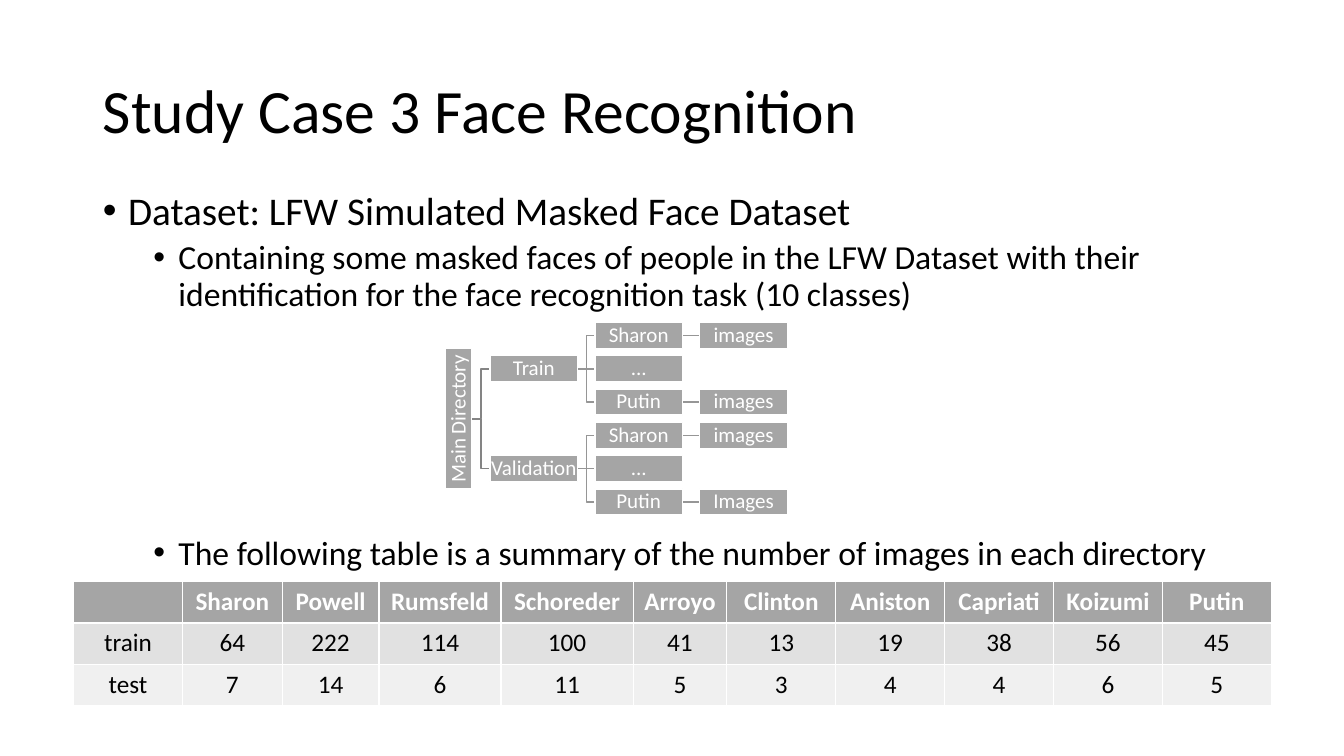
from lxml.etree import SubElement
from pptx import Presentation
from pptx.dml.color import RGBColor
from pptx.enum.shapes import MSO_CONNECTOR, MSO_SHAPE
from pptx.enum.text import MSO_ANCHOR, MSO_AUTO_SIZE, PP_ALIGN
from pptx.oxml.ns import qn
from pptx.util import Inches, Pt

TITLE = "Study Case 3 Face Recognition"
# text, level, size, space before, left indent
BULLETS = [
    ("Dataset: LFW Simulated Masked Face Dataset", 0, 28, 10, 0.25),
    ("Containing some masked faces of people in the LFW Dataset with their "
     "identification for the face recognition task (10 classes)", 1, 24, 5, 0.75),
    ("The following table is a summary of the number of images in each directory",
     1, 24, 159, 0.75),
]
# label, children
TREE = ("Main Directory", [
    ("Train", [("Sharon", [("images", [])]), ("...", []), ("Putin", [("images", [])])]),
    ("Validation", [("Sharon", [("images", [])]), ("...", []), ("Putin", [("Images", [])])]),
])
TABLE = [
    ["", "Sharon", "Powell", "Rumsfeld", "Schoreder", "Arroyo", "Clinton",
     "Aniston", "Capriati", "Koizumi", "Putin"],
    ["train", 64, 222, 114, 100, 41, 13, 19, 38, 56, 45],
    ["test", 7, 14, 6, 11, 5, 3, 4, 4, 6, 5],
]
COL_W = [1.08, 0.99, 0.96, 1.21, 1.31, 0.93] + [1.08] * 5
ROW_H = 0.41
ROW_STYLES = [("A5A5A5", "FFFFFF", True), ("E1E1E1", "000000", False),
              ("F0F0F0", "000000", False)]
FONT = "Calibri"
BOX_W, BOX_H, ROOT_H = 0.87, 0.26, 1.39
COL_STEP, ROW_STEP = 1.04, 0.33
TREE_X, ROOT_X, TREE_Y = 4.86, 4.42, 3.2


def rgb(value):
    return RGBColor.from_string(value)


def write(p, text, size, color, bold=False, **paragraph_format):
    for name, value in paragraph_format.items():
        setattr(p, name, value)
    r = p.add_run()
    r.text = str(text)
    for name, value in {"name": FONT, "size": Pt(size), "bold": bold}.items():
        setattr(r.font, name, value)
    r.font.color.rgb = rgb(color)


def place(sp, left, top, width, height):
    sp.left, sp.top, sp.width, sp.height = map(Inches, (left, top, width, height))
    sp.text_frame.auto_size = MSO_AUTO_SIZE.NONE


def add_box(label, depth, mid):
    if depth:
        x, w, h = TREE_X + (depth - 1) * COL_STEP, BOX_W, BOX_H
    else:
        x, w, h = ROOT_X, BOX_H, ROOT_H
    box = s.shapes.add_shape(MSO_SHAPE.RECTANGLE, Inches(x), Inches(mid - h / 2),
                             Inches(w), Inches(h))
    box.shadow.inherit = False
    box.fill.solid()
    box.fill.fore_color.rgb = rgb("A5A5A5")
    box.line.color.rgb = rgb("FFFFFF")
    box.line.width = Pt(1)
    tf = box.text_frame
    for side in ("left", "top", "right", "bottom"):
        setattr(tf, f"margin_{side}", Inches(0.01))
    tf.vertical_anchor = MSO_ANCHOR.MIDDLE
    tf.word_wrap = False
    if not depth:
        tf._txBody.bodyPr.set("vert", "vert270")
    write(tf.paragraphs[0], label, 15, "FFFFFF", alignment=PP_ALIGN.CENTER, line_spacing=0.9)
    return box


def join(parent, child, straight, color):
    """Connect two boxes with a line that lies behind them."""
    kind = MSO_CONNECTOR.STRAIGHT if straight else MSO_CONNECTOR.ELBOW
    line = s.shapes.add_connector(
        kind, parent.left + parent.width, parent.top + parent.height // 2,
        child.left, child.top + child.height // 2)
    line.begin_connect(parent, 3)
    line.end_connect(child, 1)
    line.line.color.rgb = rgb(color)
    line.line.width = Pt(1)
    SubElement(line._element.spPr, qn("a:effectLst"))
    title._element.addprevious(line._element)


def add_branch(node, depth=0, row=0):
    """Draw a node and its children; return its box, middle and next free row."""
    label, children = node
    drawn, next_row = [], row
    for child in children:
        box, child_mid, next_row = add_branch(child, depth + 1, next_row)
        drawn.append((box, child_mid))
    if drawn:
        mid = (drawn[0][1] + drawn[-1][1]) / 2
    else:
        mid, next_row = TREE_Y + row * ROW_STEP + BOX_H / 2, row + 1
    parent = add_box(label, depth, mid)
    for box, child_mid in drawn:
        join(parent, box, abs(child_mid - mid) < 0.01, "969696" if depth else "848484")
    return parent, mid, next_row


prs = Presentation()
prs.slide_width, prs.slide_height = Inches(13.33), Inches(7.5)
s = prs.slides.add_slide(prs.slide_layouts[1])

title, body = s.placeholders
place(title, 0.92, 0.4, 11.5, 1.45)
title.text_frame.vertical_anchor = MSO_ANCHOR.MIDDLE
write(title.text_frame.paragraphs[0], TITLE, 44, "000000",
      alignment=PP_ALIGN.LEFT, line_spacing=0.9)

place(body, 0.92, 1.85, 11.5, 4.76)
tf = body.text_frame
for i, (text, level, size, before, indent) in enumerate(BULLETS):
    p = tf.add_paragraph() if i else tf.paragraphs[0]
    write(p, text, size, "000000", level=level, line_spacing=0.9, space_before=Pt(before))
    pPr = p._p.get_or_add_pPr()
    pPr.set("marL", str(Inches(indent)))
    pPr.set("indent", str(Inches(-0.25)))
    SubElement(pPr, qn("a:buFont"), typeface="Arial")
    SubElement(pPr, qn("a:buChar"), char="•")

table = s.shapes.add_table(len(TABLE), len(COL_W), Inches(0.73), Inches(5.77),
                           Inches(sum(COL_W)), Inches(ROW_H * len(TABLE))).table
for column, width in zip(table.columns, COL_W):
    column.width = Inches(width)
for i, (values, (fill, color, bold)) in enumerate(zip(TABLE, ROW_STYLES)):
    for j, value in enumerate(values):
        cell = table.cell(i, j)
        cell.fill.solid()
        cell.fill.fore_color.rgb = rgb(fill)
        if value != "":
            write(cell.text_frame.paragraphs[0], value, 18, color, bold,
                  alignment=PP_ALIGN.CENTER)

add_branch(TREE)
prs.save("out.pptx")
